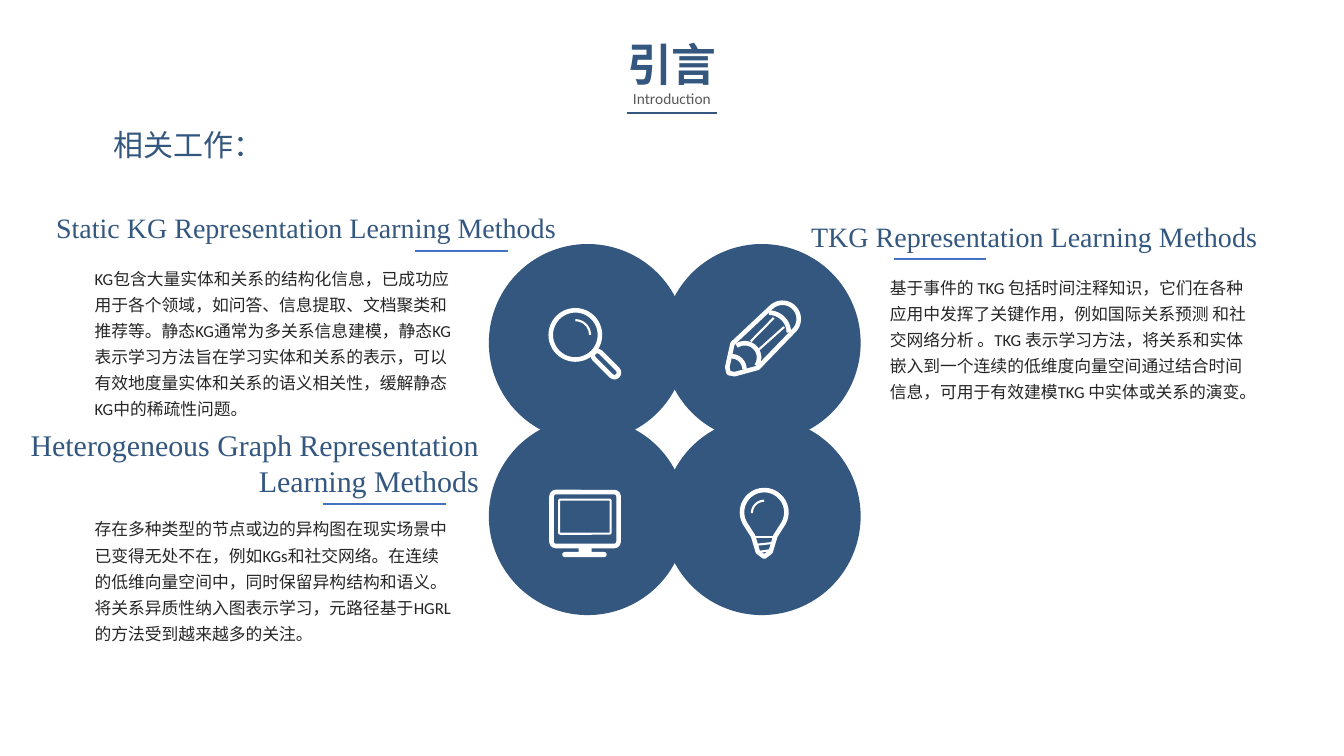
from math import cos, radians, sin

from lxml import etree
from pptx import Presentation
from pptx.dml.color import RGBColor
from pptx.enum.shapes import MSO_CONNECTOR, MSO_SHAPE
from pptx.enum.text import MSO_ANCHOR, MSO_AUTO_SIZE, PP_ALIGN
from pptx.oxml.ns import qn
from pptx.util import Cm, Pt

LEFT, CENTER, RIGHT = PP_ALIGN.LEFT, PP_ALIGN.CENTER, PP_ALIGN.RIGHT
OVAL, ROUNDED = MSO_SHAPE.OVAL, MSO_SHAPE.ROUNDED_RECTANGLE
RECTANGLE, STRAIGHT = MSO_SHAPE.RECTANGLE, MSO_CONNECTOR.STRAIGHT
COLORS = {"navy": "345780", "rule": "4472C4", "body": "262626",
          "subtitle": "595959", "icon": "FFFFFF"}
THICK, THIN = 3.25, 1.5

TITLE = {"size": Pt(32), "name": "Arial", "bold": True}
SUBTITLE = {"size": Pt(11), "name": "Calibri", "bold": False}
TOPIC = {"size": Pt(21.4), "name": "Arial", "bold": False}
HEADING = {"size": Pt(20), "name": "Times New Roman", "bold": False}
LARGE_HEADING = {**HEADING, "size": Pt(21.4)}
BODY = {"size": Pt(12), "name": "Calibri", "bold": False}
BODY_SPACING = {"line_spacing": 1.3, "space_before": Pt(8)}

# Boxes are left, top, width, height in cm; rules are left, right, top
SECTIONS = [
    {"heading": "Static KG Representation Learning Methods",
     "font": HEADING, "align": RIGHT,
     "heading_box": (0.71, 5.18, 13.56, 1.12), "rule": (10.46, 12.8, 6.32),
     "body_box": (2.13, 6.48, 9.7, 4.19),
     "body": "KG包含大量实体和关系的结构化信息，已成功应用于各个领域，如问答、信息提取、"
             "文档聚类和推荐等。静态KG通常为多关系信息建模，静态KG表示学习方法旨在学习实体"
             "和关系的表示，可以有效地度量实体和关系的语义相关性，缓解静态KG中的稀疏性问题。"},
    {"heading": "Heterogeneous Graph Representation Learning Methods",
     "font": LARGE_HEADING, "align": RIGHT,
     "heading_box": (-2.13, 10.62, 14.45, 2.08), "rule": (8.13, 11.23, 12.7),
     "body_box": (2.13, 12.8, 9.5, 4.47),
     "body": "存在多种类型的节点或边的异构图在现实场景中已变得无处不在，例如KGs和社交网络。"
             "在连续的低维向量空间中，同时保留异构结构和语义。将关系异质性纳入图表示学习，"
             "元路径基于HGRL 的方法受到越来越多的关注。"},
    {"heading": "TKG Representation Learning Methods",
     "font": HEADING, "align": LEFT,
     "heading_box": (20.19, 5.41, 12.7, 1.12), "rule": (22.53, 24.84, 6.53),
     "body_box": (22.17, 6.71, 9.58, 3.53),
     "body": "基于事件的 TKG 包括时间注释知识，它们在各种应用中发挥了关键作用，例如国际关系"
             "预测 和社交网络分析 。TKG 表示学习方法，将关系和实体嵌入到一个连续的低维度向量"
             "空间通过结合时间信息，可用于有效建模TKG 中实体或关系的演变。"},
]


def color(name):
    return RGBColor.from_string(COLORS[name])


def write(shape, box, text, font, tint, align=LEFT, wrap=True, spacing=None):
    """Place a text box or placeholder and fill it with one paragraph."""
    place = zip(("left", "top", "width", "height"), box)
    for name, value in place:
        setattr(shape, name, Cm(value))
    frame = shape.text_frame
    frame_format = {"word_wrap": wrap, "auto_size": MSO_AUTO_SIZE.NONE,
                    "vertical_anchor": MSO_ANCHOR.TOP}
    for name, value in frame_format.items():
        setattr(frame, name, value)
    para = frame.paragraphs[0]
    para_format = {"alignment": align, "line_spacing": 1.0, "space_before": Pt(0)}
    for name, value in {**para_format, **(spacing or {})}.items():
        setattr(para, name, value)
    if shape.is_placeholder:
        properties = para._p.get_or_add_pPr()
        properties.set("marL", "0")
        properties.set("indent", "0")
        etree.SubElement(properties, qn("a:buNone"))
    span = para.add_run()
    span.text = text
    for name, value in font.items():
        setattr(span.font, name, value)
    span.font.color.rgb = color(tint)


def add_text(page, box, *args, **options):
    shape = page.shapes.add_textbox(*map(Cm, box))
    write(shape, box, *args, **options)


def add_line(page, start, end, tint, weight):
    line = page.shapes.add_connector(STRAIGHT, *map(Cm, (*start, *end)))
    line.line.color.rgb = color(tint)
    line.line.width = Pt(weight)
    etree.SubElement(line._element.spPr, qn("a:effectLst"))


def paint(shape, tint, weight=None):
    """Fill a shape, or only outline it when a line weight is given."""
    shape.shadow.inherit = False
    if weight is None:
        shape.fill.solid()
        shape.fill.fore_color.rgb = color(tint)
        shape.line.fill.background()
    else:
        shape.fill.background()
        shape.line.color.rgb = color(tint)
        shape.line.width = Pt(weight)


def add_shape(page, kind, box, tint, weight=None):
    shape = page.shapes.add_shape(kind, *map(Cm, box))
    paint(shape, tint, weight)
    return shape


def arc(x, y, radius, start, end, steps=24):
    """Points on an arc, with angles in degrees clockwise from the right."""
    angles = [radians(start + (end - start) * i / steps) for i in range(steps + 1)]
    return [(x + radius * cos(a), y + radius * sin(a)) for a in angles]


def add_outline(page, corner, points, weight, close=False):
    spots = [(Cm(corner[0] + x), Cm(corner[1] + y)) for x, y in points]
    builder = page.shapes.build_freeform(*spots[0])
    builder.add_line_segments(spots[1:], close=close)
    paint(builder.convert_to_shape(), "icon", weight)


def add_strokes(page, corner, strokes):
    left, top = corner
    for x1, y1, x2, y2 in strokes:
        add_line(page, (left + x1, top + y1), (left + x2, top + y2), "icon", THIN)


# Icons, each drawn from the top left corner it is given
def draw_magnifier(page, corner):
    left, top = corner
    add_shape(page, OVAL, (left + 0.04, top + 0.07, 1.24, 1.24), "icon", THICK)
    handle = add_shape(page, ROUNDED, (left + 1.01, top + 1.31, 0.84, 0.23), "icon", THICK)
    handle.adjustments[0] = 0.5
    handle.rotation = 45
    add_outline(page, corner, arc(0.66, 0.69, 0.37, -90, 0), THIN)


def draw_pencil(page, corner):
    body = arc(1.46, 0.47, 0.41, 225, 405)
    body += [(0.84, 1.7), (0.25, 1.86), (0.1, 1.83), (0.07, 1.68), (0.2, 1.09)]
    add_outline(page, corner, body, THICK, close=True)
    ferrule = arc(1.12, 0.81, 0.5, -90, 0)
    wood = arc(0.51, 1.44, 0.36, 235, 395)
    lead = arc(0.18, 1.73, 0.32, -90, 0)
    for points in (ferrule, wood, lead):
        add_outline(page, corner, points, THICK)
    add_strokes(page, corner, [(0.66, 1.03, 1.24, 0.44), (0.86, 1.24, 1.5, 0.67)])


def draw_monitor(page, corner):
    left, top = corner
    case = add_shape(page, ROUNDED, (left + 0.06, top + 0.06, 1.69, 1.36), "icon", THICK)
    case.adjustments[0] = 0.08
    screen = add_shape(page, ROUNDED, (left + 0.25, top + 0.25, 1.3, 0.86), "icon", THIN)
    screen.adjustments[0] = 0.04
    add_shape(page, RECTANGLE, (left + 0.74, top + 1.45, 0.33, 0.15), "icon")
    base = add_shape(page, ROUNDED, (left + 0.33, top + 1.57, 1.12, 0.13), "icon")
    base.adjustments[0] = 0.5


def draw_bulb(page, corner):
    glass = arc(0.62, 0.62, 0.56, 150, 390)
    cap = [(0.9, 1.22), (0.78, 1.62), (0.62, 1.74), (0.46, 1.62), (0.34, 1.22)]
    add_outline(page, corner, glass + cap, THICK, close=True)
    add_outline(page, corner, arc(0.62, 0.64, 0.31, 180, 270), THIN)
    add_strokes(page, corner, [(0.34, 1.24, 0.9, 1.24), (0.41, 1.44, 0.85, 1.39),
                               (0.46, 1.62, 0.8, 1.57)])


# Regions of the slide
def draw_header(page, box):
    left, top, width, height = box
    write(page.shapes.title, (left, top, width, 1.63), "引言", TITLE, "navy", CENTER, wrap=False)
    add_text(page, (left + 0.15, top + 1.32, 2.49, 0.74), "Introduction",
             SUBTITLE, "subtitle", CENTER, wrap=False)
    bottom = top + height
    add_line(page, (left + 0.26, bottom), (left + width - 0.27, bottom), "navy", THIN)


def draw_clover(page, box):
    left, top, width, height = box
    diameter = 4.98
    icons = [(draw_magnifier, 1.52, 1.6), (draw_pencil, 1.55, 1.42),
             (draw_monitor, 1.52, 1.82), (draw_bulb, 1.93, 1.77)]
    corners = [(left + (width - diameter) * (i % 2), top + (height - diameter) * (i // 2))
               for i in range(len(icons))]
    for x, y in corners:
        add_shape(page, OVAL, (x, y, diameter, diameter), "navy")
    for (x, y), (draw_icon, inset_x, inset_y) in zip(corners, icons):
        draw_icon(page, (x + inset_x, y + inset_y))


def draw_section(page, holder, section):
    add_text(page, section["heading_box"], section["heading"], section["font"],
             "navy", section["align"])
    start, end, height = section["rule"]
    add_line(page, (start, height), (end, height), "rule", 1)
    write(holder, section["body_box"], section["body"], BODY, "body", spacing=BODY_SPACING)


def main():
    deck = Presentation()
    deck.slide_width, deck.slide_height = Cm(33.87), Cm(19.05)
    page = deck.slides.add_slide(deck.slide_layouts.get_by_name("Comparison"))
    _, topic, *bodies = page.placeholders
    draw_clover(page, (12.32, 6.15, 9.37, 9.35))
    draw_header(page, (15.54, 0.81, 2.79, 2.04))
    write(topic, (2.13, 3.05, 4.75, 1.17), "相关工作：", TOPIC, "navy", RIGHT)
    for holder, section in zip(bodies, SECTIONS):
        draw_section(page, holder, section)
    deck.save("out.pptx")


if __name__ == "__main__":
    main()
